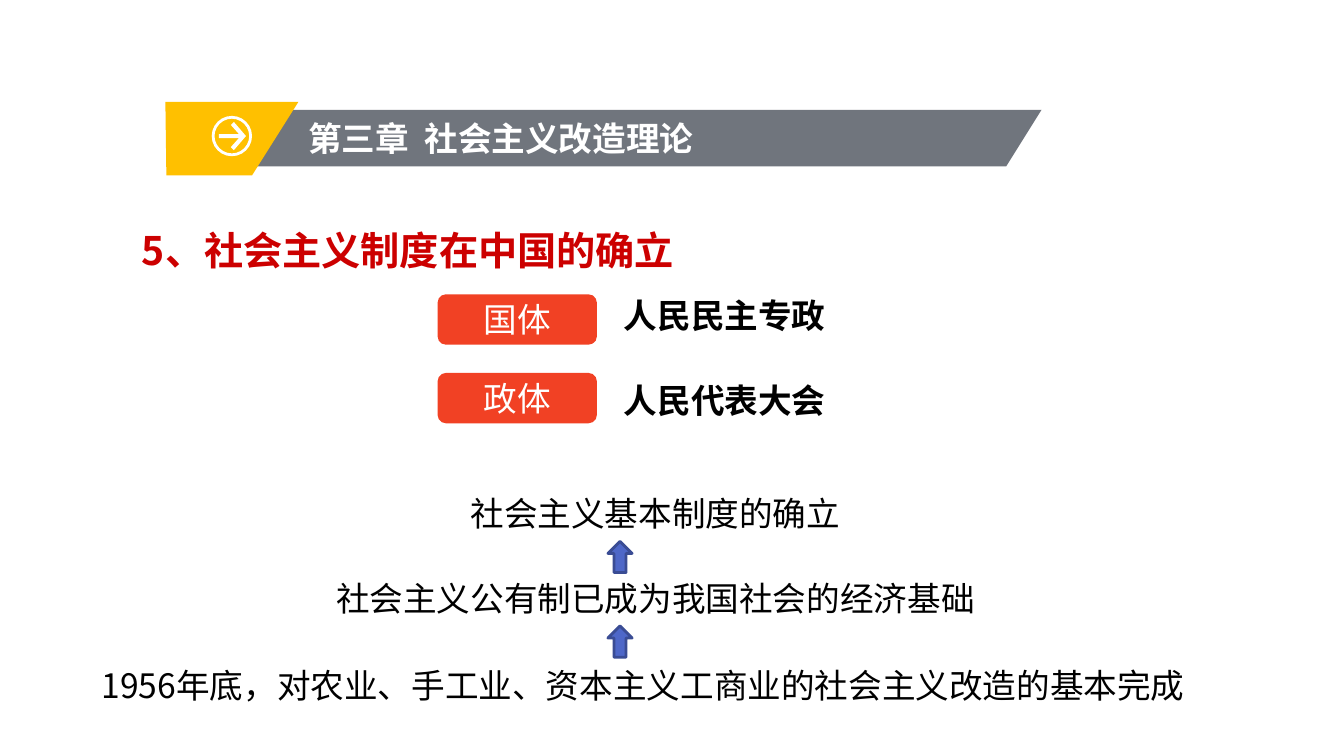
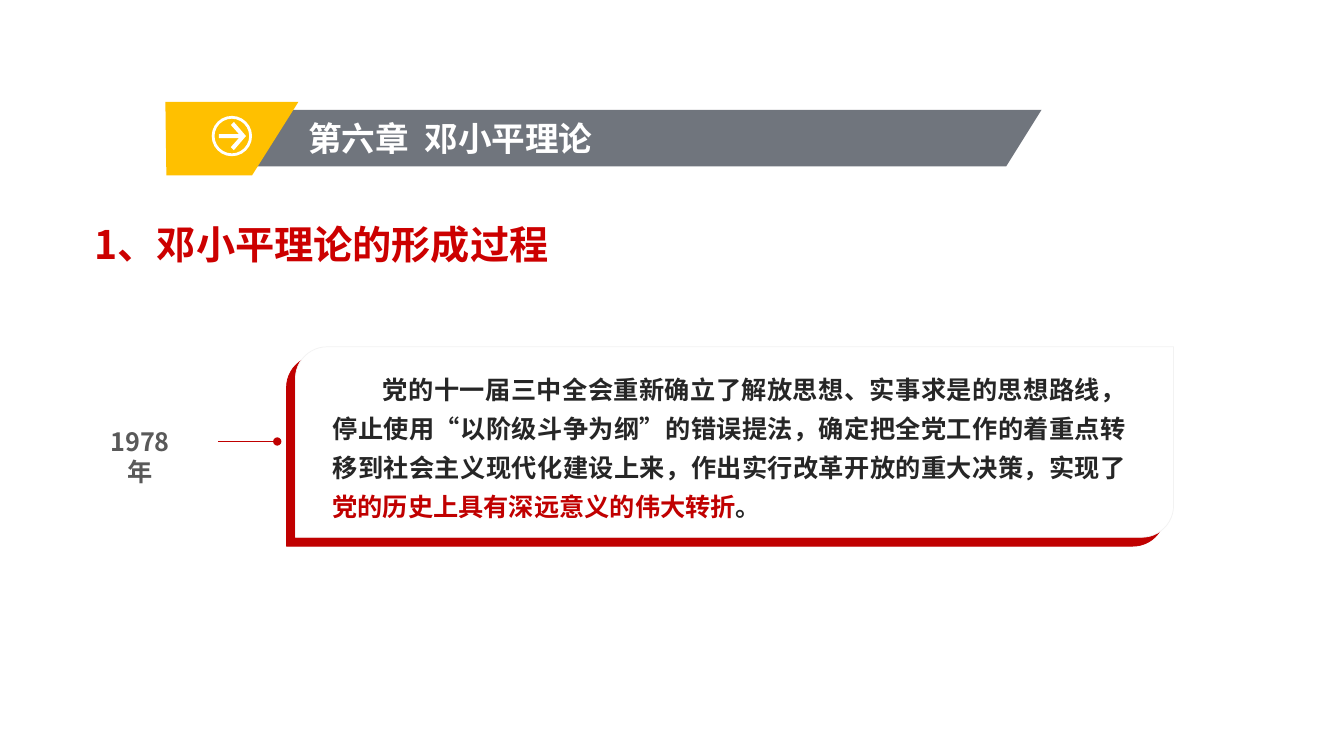
from pptx import Presentation
from pptx.dml.color import RGBColor
from pptx.enum.shapes import MSO_CONNECTOR, MSO_SHAPE
from pptx.enum.text import MSO_ANCHOR, PP_ALIGN
from pptx.oxml.ns import qn
from pptx.util import Inches, Pt
from lxml.etree import SubElement

FONT = "Noto Sans CJK SC"
WHITE, BLACK, INK, GREY = "FFFFFF", "000000", "262626", "595959"
SLATE, GOLD, RED, DEEP = "70757D", "FFC000", "CC0000", "C00000"
ORANGE, BLUE, NAVY, PALE = "F14124", "4E67C8", "3A4C94", "F2F2F2"
LEFT, CENTER, JUSTIFY = PP_ALIGN.LEFT, PP_ALIGN.CENTER, PP_ALIGN.JUSTIFY


def color(code):
    return RGBColor.from_string(code)


class Deck:
    def __init__(self):
        self.prs = Presentation()
        self.prs.slide_width = Inches(13.33)
        self.prs.slide_height = Inches(7.5)

    def page(self, chapter, title, left, top, width):
        self.slide = self.prs.slides.add_slide(self.prs.slide_layouts[6])
        self.shapes = self.slide.shapes
        self.outline([(1.72, 1.09), (10.33, 1.09), (9.98, 1.65), (1.72, 1.65)], SLATE)
        self.outline([(1.64, 1.01), (2.96, 1.01), (2.5, 1.74), (1.65, 1.74)], GOLD)
        self.text(chapter, 2.96, 1.12, 4.08, 0.5, tint=WHITE, bold=True, wrap=False)
        ring = self.shape(MSO_SHAPE.DONUT, 2.1, 1.15, 0.4, 0.4, WHITE)
        ring.adjustments[0] = 0.07
        self.outline([(2.32, 1.49), (2.29, 1.46), (2.37, 1.37), (2.17, 1.37),
                      (2.17, 1.33), (2.37, 1.33), (2.29, 1.24), (2.32, 1.21),
                      (2.44, 1.35)], WHITE)
        self.text(title, left, top, width, 0.51, size=28, tint=RED, bold=True,
                  space=1.5, anchor=MSO_ANCHOR.MIDDLE)

    def paint(self, shape, fill, line=None, width=1):
        shape.shadow.inherit = False
        shape.fill.solid()
        shape.fill.fore_color.rgb = color(fill)
        if line:
            shape.line.color.rgb = color(line)
            shape.line.width = Pt(width)
        else:
            shape.line.fill.background()
        return shape

    def outline(self, points, fill):
        start, *rest = [(Inches(x), Inches(y)) for x, y in points]
        form = self.shapes.build_freeform(*start)
        form.add_line_segments(rest, close=True)
        return self.paint(form.convert_to_shape(), fill)

    def shape(self, kind, left, top, width, height, fill, line=None, weight=1):
        shape = self.shapes.add_shape(
            kind, Inches(left), Inches(top), Inches(width), Inches(height))
        return self.paint(shape, fill, line, weight)

    def fill_in(self, frame, runs, size, tint, bold, align, space, indent=0):
        para = frame.paragraphs[0]
        para.alignment = align
        if space:
            para.line_spacing = space
        props = para._p.get_or_add_pPr()
        if indent:
            props.set("indent", str(Inches(indent)))
        font = para.font
        font.size, font.bold = Pt(size), bold
        font.color.rgb = color(tint)
        font.name = FONT
        SubElement(props.find(qn("a:defRPr")), qn("a:ea"), typeface=FONT)
        if isinstance(runs, str):
            runs = [(runs, None)]
        for words, shade in runs:
            run = para.add_run()
            run.text = words
            if shade:
                run.font.color.rgb = color(shade)

    def text(self, runs, left, top, width, height, size=24, tint=BLACK, bold=False,
             align=LEFT, space=None, indent=0, anchor=MSO_ANCHOR.TOP, wrap=True):
        box = self.shapes.add_textbox(
            Inches(left), Inches(top), Inches(width), Inches(height))
        frame = box.text_frame
        frame.word_wrap = wrap
        frame.vertical_anchor = anchor
        self.fill_in(frame, runs, size, tint, bold, align, space, indent)

    def label(self, words, left, top):
        tag = self.shape(MSO_SHAPE.FLOWCHART_ALTERNATE_PROCESS,
                         left, top, 1.58, 0.5, ORANGE)
        tag.text_frame.vertical_anchor = MSO_ANCHOR.MIDDLE
        self.fill_in(tag.text_frame, words, 24, WHITE, False, CENTER, None)

    def card(self, left, top, width, height):
        card = self.shape(MSO_SHAPE.ROUND_2_DIAG_RECTANGLE,
                          left, top, width, height, WHITE, PALE, 0.5)
        effects = card._element.spPr.find(qn("a:effectLst"))
        shadow = SubElement(effects, qn("a:outerShdw"), blurRad="0",
                            dist=str(Pt(9)), dir=str(135 * 60000),
                            algn="tr", rotWithShape="0")
        SubElement(shadow, qn("a:srgbClr"), val=DEEP)

    def pin(self, start, end, y):
        line = self.shapes.add_connector(
            MSO_CONNECTOR.STRAIGHT, Inches(start), Inches(y), Inches(end), Inches(y))
        line.line.color.rgb = color(DEEP)
        line.line.width = Pt(0.75)
        props = line._element.spPr
        SubElement(props.find(qn("a:ln")), qn("a:tailEnd"), type="oval")
        SubElement(props, qn("a:effectLst"))


def main():
    deck = Deck()

    deck.page("第三章  社会主义改造理论", "5、社会主义制度在中国的确立", 1.31, 2.11, 7.9)
    forms = [("国体", "人民民主专政", 2.92, 2.88), ("政体", "人民代表大会", 3.7, 3.72)]
    for name, body, tag, top in forms:
        deck.label(name, 4.34, tag)
        deck.text(body, 6.09, top, 2.46, 0.5, bold=True)
    steps = [("社会主义基本制度的确立", 4.84, CENTER),
             ("社会主义公有制已成为我国社会的经济基础", 5.68, CENTER),
             ("1956年底，对农业、手工业、资本主义工商业的社会主义改造的基本完成", 6.55, JUSTIFY)]
    for words, top, align in steps:
        deck.text(words, 0.91, top, 11.18, 0.5, align=align)
    for top in (5.37, 6.21):
        deck.shape(MSO_SHAPE.UP_ARROW, 6.03, top, 0.24, 0.31, BLUE, NAVY, 2)

    deck.page("第六章  邓小平理论", "1、邓小平理论的形成过程", 0.84, 2.05, 8.99)
    deck.card(2.93, 3.44, 8.71, 1.89)
    story = [("党的十一届三中全会重新确立了解放思想、实事求是的思想路线，"
              "停止使用“以阶级斗争为纲”的错误提法，确定把全党工作的着重点转"
              "移到社会主义现代化建设上来，作出实行改革开放的重大决策，实现了", None),
             ("党的历史上具有深远意义的伟大转折", DEEP), ("。", None)]
    deck.text(story, 3.2, 3.57, 8.07, 1.68, size=18, tint=INK, bold=True,
              align=JUSTIFY, space=1.3, indent=0.5)
    deck.text("1978年", 0.89, 4.18, 1, 0.7, size=18, tint=GREY, bold=True, align=CENTER)
    deck.pin(2.16, 2.75, 4.38)

    deck.prs.save("out.pptx")


if __name__ == "__main__":
    main()
